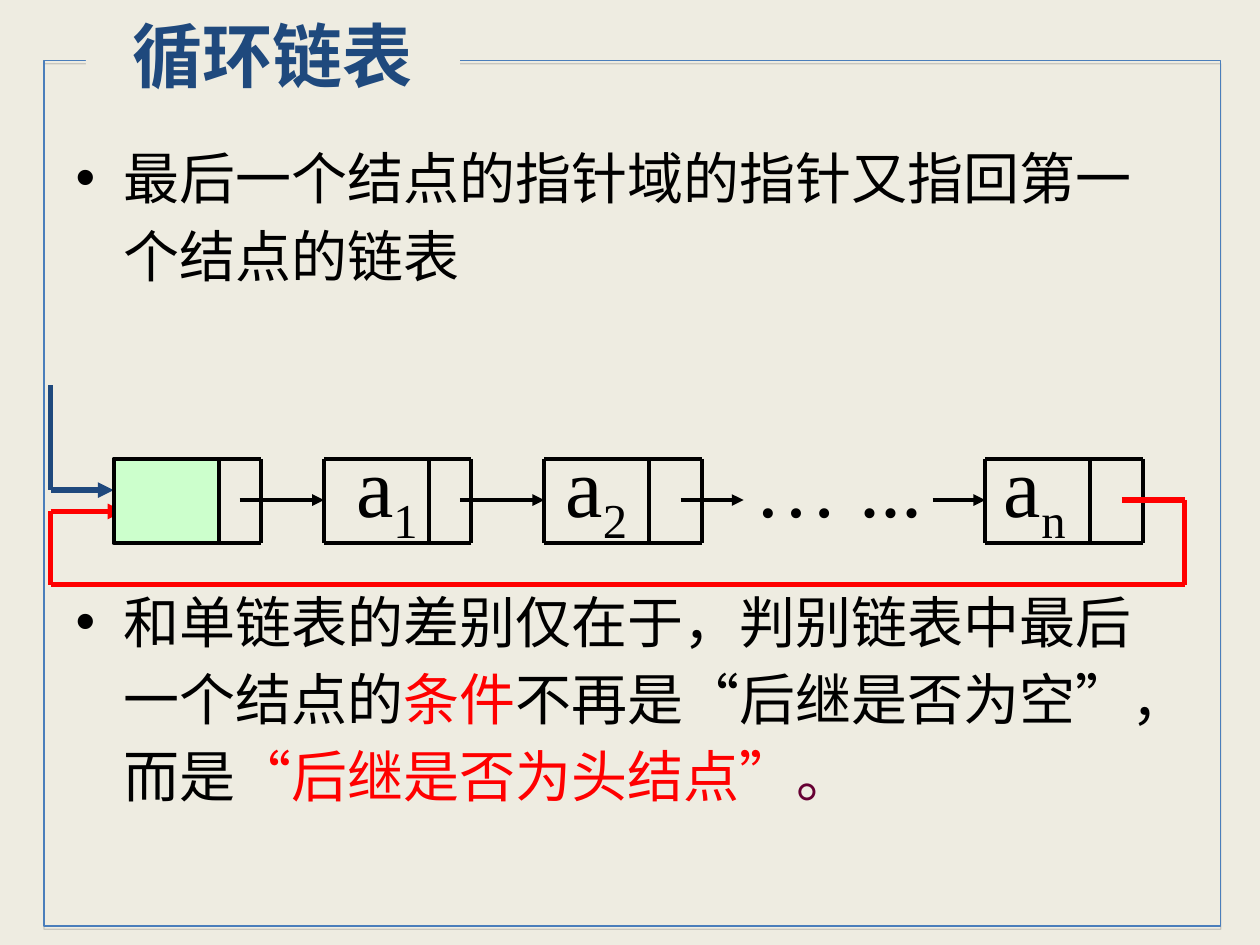
from pptx import Presentation
from pptx.dml.color import RGBColor
from pptx.enum.shapes import MSO_CONNECTOR, MSO_SHAPE
from pptx.enum.text import MSO_ANCHOR, MSO_AUTO_SIZE, PP_ALIGN
from pptx.oxml import parse_xml
from pptx.oxml.ns import nsdecls
from pptx.util import Cm, Pt

COLOR = {"paper": "EEECE1", "frame": "4A7EBB", "navy": "1F497D", "black": "000000",
         "red": "FF0000", "plum": "660033", "green": "CCFFCC", "shade": "808080"}
FONT = "Times New Roman"

TITLE = "循环链表"
POINTS = [
    [("最后一个结点的指针域的指针又指回第一个结点的链表", "black")],
    [("和单链表的差别仅在于，判别链表中最后一个结点的", "black"), ("条件", "red"),
     ("不再是“后继是否为空”，而是", "black"), ("“后继是否为头结点”", "red"), ("。", "plum")],
]
GAPS = [0, 165]  # points above each bullet; the diagram fills the second gap

# Lengths below are in cm
LABELS = [("a", "1", 1.27), ("a", "2", 5.49), ("… ...", "", 9.3), ("a", "n", 14.33)]
TOP, BASE, MID = 9.25, 10.95, 10.08
CELL = 2.12
NODES = [(2.29, 2.97), (6.53, 2.97), (10.97, 3.18), (19.86, 3.18)]  # left, width
LINKS = [(4.83, 6.53), (9.27, 10.97), (13.72, 14.99), (18.8, 19.86)]  # from, to
HEAD = [(1.02, 7.77), (1.02, 9.88), (2.29, 9.88)]
BACK = [(22.61, MID), (23.88, MID), (23.88, 11.79), (1.02, 11.79), (1.02, 10.31), (2.49, 10.31)]


def rgb(name):
    return RGBColor.from_string(COLOR[name])


def place(shape, *box):
    for key, value in zip(("left", "top", "width", "height"), box):
        setattr(shape, key, Cm(value))


def write(para, text, color, **style):
    run = para.add_run()
    run.text = text
    for key, value in {"name": FONT, **style}.items():
        setattr(run.font, key, value)
    run.font.color.rgb = rgb(color)
    return run


def outline(shape, color, width):
    shape.line.color.rgb = rgb(color)
    shape.line.width = Pt(width)


def trace(shapes, points, color="black", width=2.25, arrow=False):
    """Join the points with straight lines; the last may end in an arrowhead."""
    for start, end in zip(points, points[1:]):
        line = shapes.add_connector(MSO_CONNECTOR.STRAIGHT, *map(Cm, start + end))
        outline(line, color, width)
        line._element.spPr.append(parse_xml(f"<a:effectLst {nsdecls('a')}/>"))
    if arrow:
        line.line._get_or_add_ln().append(
            parse_xml(f'<a:tailEnd {nsdecls("a")} type="triangle"/>'))


def add_frame(slide):
    frame = slide.shapes.add_shape(MSO_SHAPE.RECTANGLE, *map(Cm, (0.89, 1.22, 23.72, 17.45)))
    frame.fill.background()
    outline(frame, "frame", 0.75)
    frame._element.spPr.append(parse_xml(
        f'<a:effectLst {nsdecls("a")}><a:outerShdw dist="22860" dir="5400000" rotWithShape="0">'
        f'<a:srgbClr val="{COLOR["shade"]}"><a:alpha val="35000"/></a:srgbClr>'
        '</a:outerShdw></a:effectLst>'))
    slide.shapes._spTree.insert(2, frame._element)  # behind the title


def fill_title(title):
    place(title, 1.73, 0.08, 7.54, 2.03)
    title.fill.solid()
    title.fill.fore_color.rgb = rgb("paper")
    frame = title.text_frame
    for key, value in {"auto_size": MSO_AUTO_SIZE.NONE, "word_wrap": True,
                       "vertical_anchor": MSO_ANCHOR.MIDDLE}.items():
        setattr(frame, key, value)
    para = frame.paragraphs[0]
    para.alignment = PP_ALIGN.CENTER
    write(para, TITLE, "navy", size=Pt(40), bold=True)


def fill_body(body):
    place(body, 1.27, 2.57, 22.86, 14.76)
    frame = body.text_frame
    frame.auto_size = MSO_AUTO_SIZE.NONE
    for i, (runs, gap) in enumerate(zip(POINTS, GAPS)):
        para = frame.add_paragraph() if i else frame.paragraphs[0]
        for key, value in {"line_spacing": 1.15, "space_before": Pt(gap)}.items():
            setattr(para, key, value)
        props = para._p.get_or_add_pPr()
        props.set("marL", str(Cm(0.96)))
        props.set("indent", str(-Cm(0.96)))
        for bullet in (f'<a:buClr {nsdecls("a")}><a:srgbClr val="{COLOR["black"]}"/></a:buClr>',
                       f'<a:buChar {nsdecls("a")} char="•"/>'):
            props.append(parse_xml(bullet))
        for text, color in runs:
            write(para, text, color, size=Pt(32))


def add_labels(shapes):
    box = shapes.add_textbox(*map(Cm, (5.66, 8.61, 19.25, 4.88)))
    box.text_frame.word_wrap = True
    para = box.text_frame.paragraphs[0]
    stops = "".join(f'<a:tab pos="{Cm(stop)}" algn="l"/>' for *_, stop in LABELS)
    para._p.get_or_add_pPr().append(parse_xml(f"<a:tabLst {nsdecls('a')}>{stops}</a:tabLst>"))
    for text, sub, _ in LABELS:
        write(para, "\t" + text, "black", size=Pt(48))
        if sub:
            low = write(para, sub, "black", size=Pt(48))
            low.font._element.set("baseline", "-25000")


def add_chain(shapes):
    add_labels(shapes)
    for left, width in NODES:
        right, split = left + width, left + CELL
        trace(shapes, [(left, TOP), (right, TOP), (right, BASE), (left, BASE), (left, TOP)])
        trace(shapes, [(split, TOP), (split, BASE)])
    for start, end in LINKS:
        trace(shapes, [(start, MID), (end, MID)], arrow=True)
    trace(shapes, HEAD, "navy", 3, True)
    trace(shapes, BACK, "red", 3, True)
    cell = shapes.add_shape(MSO_SHAPE.RECTANGLE, *map(Cm, (NODES[0][0], TOP, CELL, BASE - TOP)))
    cell.shadow.inherit = False
    cell.fill.solid()
    cell.fill.fore_color.rgb = rgb("green")
    outline(cell, "black", 2.25)


def main():
    deck = Presentation()
    deck.slide_width, deck.slide_height = Cm(25.4), Cm(19.05)
    slide = deck.slides.add_slide(deck.slide_layouts[1])
    slide.background.fill.solid()
    slide.background.fill.fore_color.rgb = rgb("paper")
    add_frame(slide)
    fill_title(slide.shapes.title)
    fill_body(slide.placeholders[1])
    add_chain(slide.shapes.add_group_shape().shapes)
    deck.save("out.pptx")


if __name__ == "__main__":
    main()
